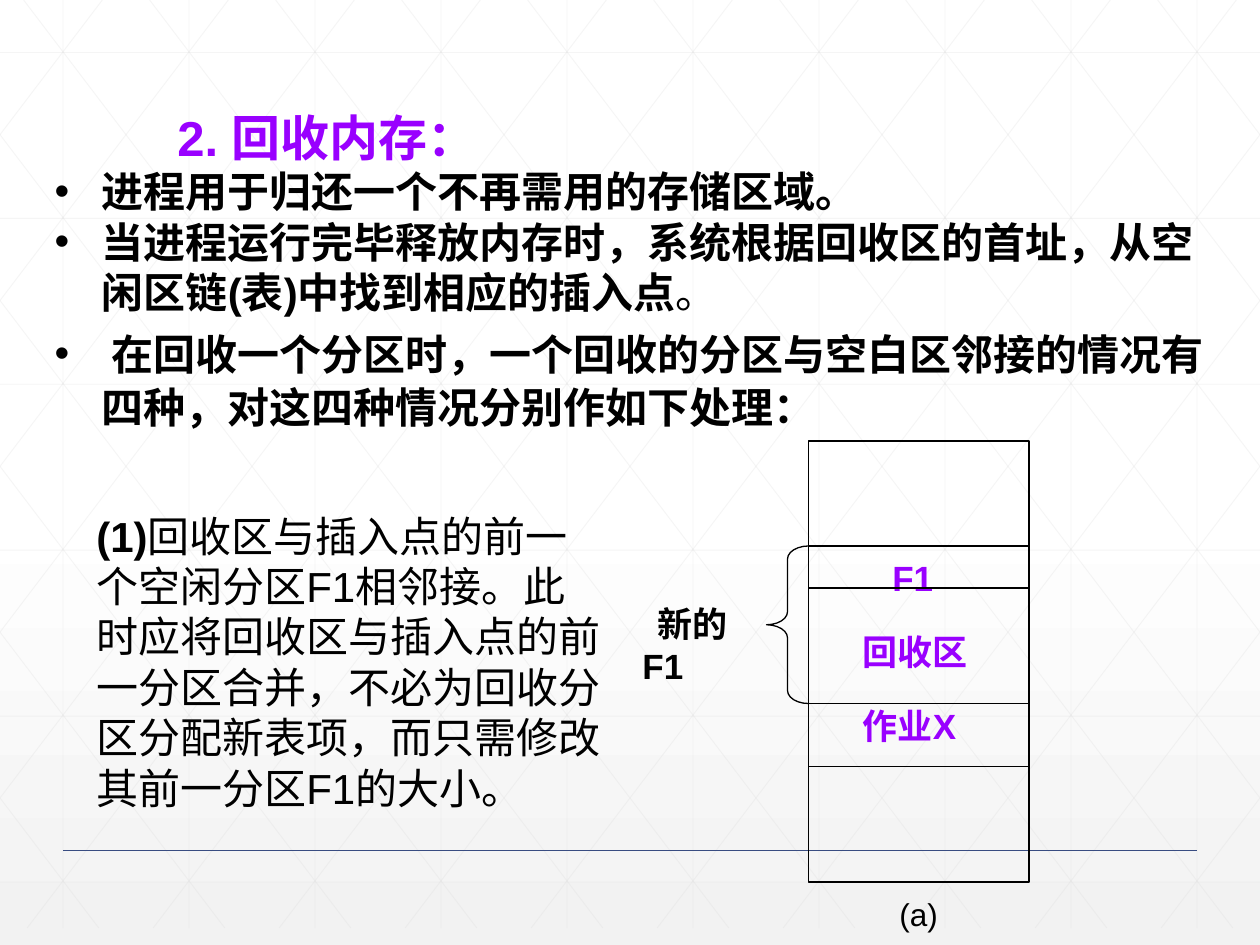
from dataclasses import dataclass

from lxml.etree import SubElement
from pptx import Presentation
from pptx.dml.color import RGBColor
from pptx.enum.shapes import MSO_CONNECTOR, MSO_SHAPE
from pptx.enum.text import MSO_ANCHOR, MSO_AUTO_SIZE, PP_ALIGN
from pptx.oxml.ns import qn
from pptx.util import Inches, Pt

COLUMNS, ROWS = 120, 90
CELL = Inches(1 / 12)


@dataclass(frozen=True)
class Theme:
    font: str = "Arial"
    ink: str = "000000"
    accent: str = "9900FF"
    lattice: str = "D9D9D9"
    rule: str = "384C81"
    back_top: str = "FFFFFF"
    back_bottom: str = "F2F2F2"
    title: int = 28
    body: int = 24
    label: int = 20
    caption: int = 18


THEME = Theme()


def cells(count):
    return round(count * CELL)


def write(para, text, size=THEME.body, color=THEME.ink, bold=False):
    """Add a formatted span of text to a paragraph."""
    span = para.add_run()
    span.text = text
    span.font.name = THEME.font
    span.font.size = Pt(size)
    span.font.bold = bold
    span.font.color.rgb = RGBColor.from_string(color)


def arrange(para, left=0, first=0, bullet=None, before=0, spacing=1.0,
            align=PP_ALIGN.LEFT):
    """Set the indents (in cells), bullet and spacing of a paragraph."""
    props = para._p.get_or_add_pPr()
    props.set("marL", str(cells(left)))
    props.set("indent", str(cells(first)))
    if bullet:
        SubElement(props, qn("a:buFont"), typeface=THEME.font)
        SubElement(props, qn("a:buChar"), char=bullet)
    para.alignment = align
    para.space_before = Pt(before)
    para.line_spacing = spacing
    return para


class Sheet:
    def __init__(self, deck, theme):
        self.theme = theme
        self.page = deck.slides.add_slide(deck.slide_layouts[1])

    def background(self):
        fill = self.page.background.fill
        fill.gradient()
        fill.gradient_angle = 270
        colors = (self.theme.back_top, self.theme.back_bottom)
        for stop, place, color in zip(fill.gradient_stops, (0.53, 1), colors):
            stop.position = place
            stop.color.rgb = RGBColor.from_string(color)

    def group(self):
        return self.page.shapes.add_group_shape().shapes

    def line(self, start, end, color, width, opacity=None, shapes=None):
        shapes = self.page.shapes if shapes is None else shapes
        line = shapes.add_connector(
            MSO_CONNECTOR.STRAIGHT, *map(cells, (*start, *end)))
        line.line.color.rgb = RGBColor.from_string(color)
        line.line.width = Pt(width)
        props = line._element.spPr
        if opacity:
            for tint in props.iter(qn("a:srgbClr")):
                SubElement(tint, qn("a:alpha"), val=str(opacity * 1000))
        SubElement(props, qn("a:effectLst"))

    def outline(self, kind, left, top, width, height, shapes):
        shape = shapes.add_shape(kind, *map(cells, (left, top, width, height)))
        shape.shadow.inherit = False
        shape.fill.background()
        shape.line.color.rgb = RGBColor.from_string(self.theme.ink)
        shape.line.width = Pt(0.75)
        return shape

    def frame(self, box, wrap=True, anchor=MSO_ANCHOR.TOP):
        frame = box.text_frame
        frame.word_wrap = wrap
        frame.auto_size = (MSO_AUTO_SIZE.SHAPE_TO_FIT_TEXT if wrap
                           else MSO_AUTO_SIZE.NONE)
        frame.vertical_anchor = anchor
        return frame

    def placeholder(self, index, left, top, width, height):
        box = self.page.placeholders[index]
        box.left, box.top, box.width, box.height = map(
            cells, (left, top, width, height))
        self.page.shapes._spTree.append(box._element)  # bring to front
        return self.frame(box)

    def text(self, left, top, width, height, shapes=None, **options):
        shapes = self.page.shapes if shapes is None else shapes
        box = shapes.add_textbox(*map(cells, (left, top, width, height)))
        return self.frame(box, **options)


def draw_lattice(sheet):
    group = sheet.group()
    bottom, rise, reach = 88.4, 1.316, 67.15

    def thread(start, end):
        sheet.line(start, end, THEME.lattice, 0.5, 25, group)

    for column in range(10):
        thread((6 + 12 * column, 0), (6 + 12 * column, bottom))
    for row in range(6):
        height = 5 + 15.8 * row
        thread((0, height), (COLUMNS, height))
    # Parallel diagonals, cut at the page edges, and their mirror images
    for step in range(-5, 10):
        origin = 2.25 + 12 * step
        x1, x2 = max(origin, 0), min(origin + reach, COLUMNS)
        y1, y2 = ((x - origin) * rise for x in (x1, x2))
        thread((x1, y1), (x2, y2))
        thread((COLUMNS - x1, y1), (COLUMNS - x2, y2))


def draw_memory(sheet):
    group = sheet.group()
    left, width = 77, 21

    # Block names
    names = sheet.text(81, 51, 18, 27.7, group)
    for index, name in enumerate(("F1", "回收区", "作业X")):
        para = names.add_paragraph() if index else names.paragraphs[0]
        arrange(para, first=0 if index else 2.8,
                before=10 if index else 0, spacing=1.35)
        write(para, name, THEME.label, THEME.accent, bold=True)

    # Memory column and its dividers
    sheet.outline(MSO_SHAPE.RECTANGLE, left, 42, width, 42, group)
    for row in (52, 56, 67, 73):
        sheet.line((left, row), (left + width, row), THEME.ink, 0.75,
                   shapes=group)
    caption = sheet.text(84, 85, 7, 4, group, wrap=False,
                         anchor=MSO_ANCHOR.MIDDLE)
    write(arrange(caption.paragraphs[0], align=PP_ALIGN.CENTER), "(a)",
          THEME.caption)

    # Brace over the merged block
    brace = sheet.outline(MSO_SHAPE.LEFT_BRACE, left - 4, 52, 4, 15, group)
    brace.adjustments[0] = 0.31
    merged = sheet.text(60, 56.8, 15, 5.2, group)
    merged.margin_right = cells(4)
    write(arrange(merged.paragraphs[0], first=1.4), "新的F1", THEME.label,
          bold=True)


def main():
    deck = Presentation()
    deck.slide_width, deck.slide_height = cells(COLUMNS), cells(ROWS)
    sheet = Sheet(deck, THEME)

    # Backdrop
    sheet.background()
    draw_lattice(sheet)
    sheet.line((6, 81), (114, 81), THEME.rule, 1)

    # Title and list
    title = sheet.placeholder(0, 4, 9.6, 113, 6.2)
    write(arrange(title.paragraphs[0], left=11.7), "2. 回收内存：",
          THEME.title, THEME.accent, bold=True)
    body = sheet.placeholder(1, 4, 15.2, 113, 26.9)
    points = (
        ("进程用于归还一个不再需用的存储区域。", "", 0, 1.0),
        ("当进程运行完毕释放内存时，系统根据回收区的首址，"
         "从空闲区链(表)中找到相应的插入点", "。", 0, 1.0),
        (" 在回收一个分区时，一个回收的分区与空白区邻接的情况有四种，"
         "对这四种情况分别作如下处理：", "", 5, 1.05),
    )
    for index, (strong, plain, before, spacing) in enumerate(points):
        para = body.add_paragraph() if index else body.paragraphs[0]
        arrange(para, 4.5, -4.5, "•", before, spacing)
        write(para, strong, bold=True)
        if plain:
            write(para, plain)

    # First case and its diagram
    case = arrange(sheet.text(8, 48, 51, 30.2).paragraphs[0])
    write(case, "(1)", bold=True)
    write(case, "回收区与插入点的前一个空闲分区F1相邻接。此时应将回收区与插入点的"
                "前一分区合并，不必为回收分区分配新表项，而只需修改其前一分区F1的大小。")
    draw_memory(sheet)
    deck.save("out.pptx")


if __name__ == "__main__":
    main()
